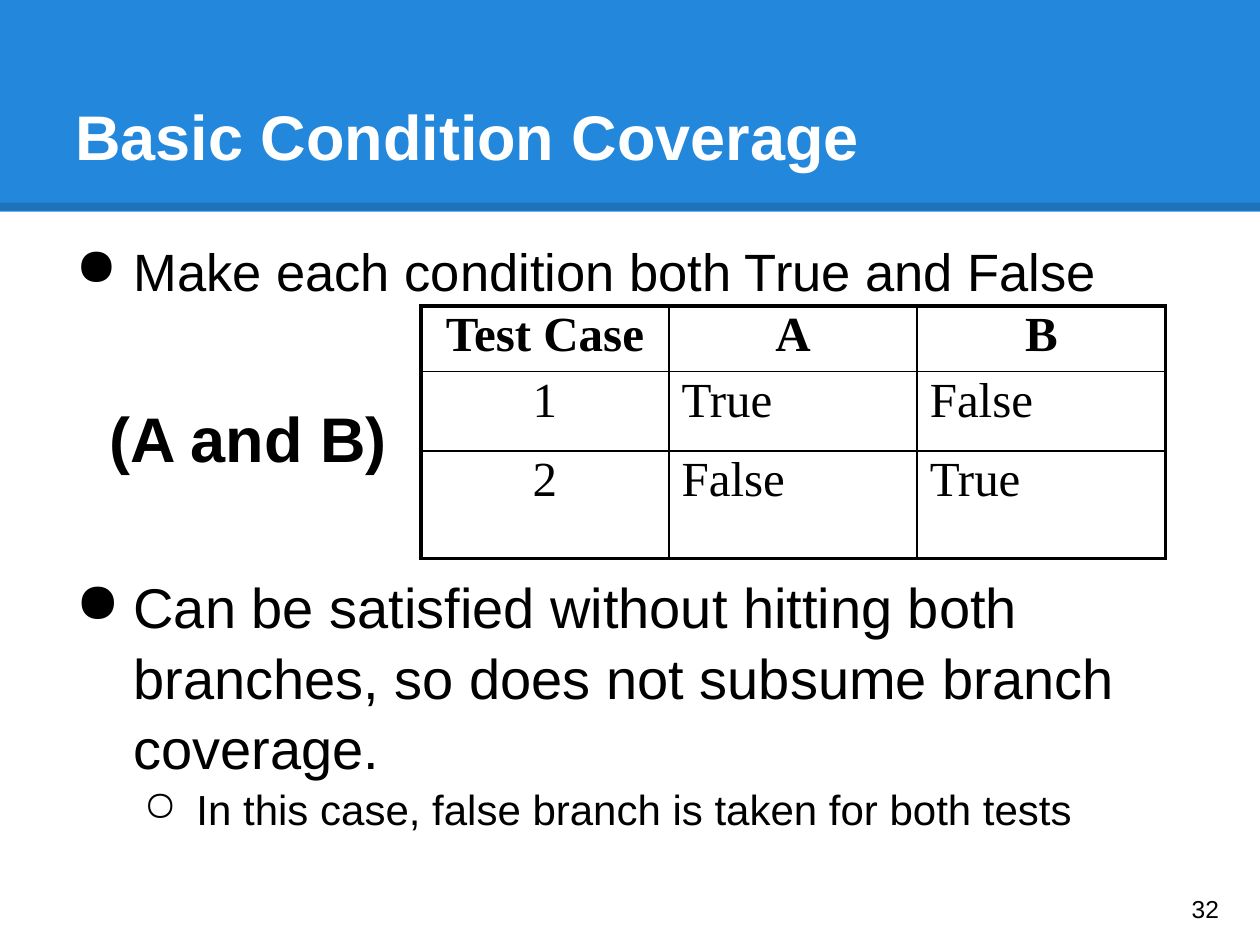
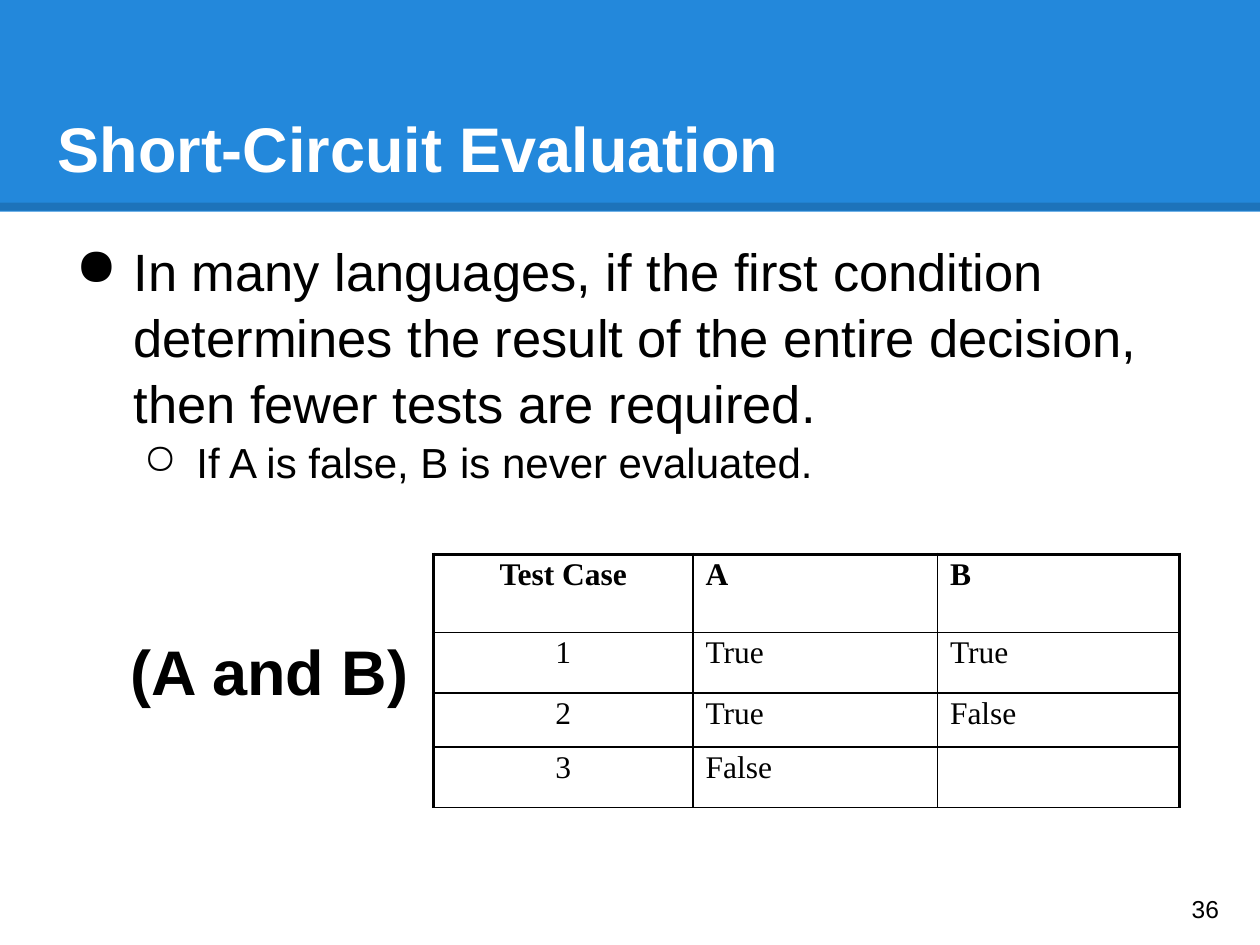
from dataclasses import dataclass

from lxml.etree import SubElement
from pptx import Presentation
from pptx.dml.color import RGBColor
from pptx.enum.shapes import MSO_CONNECTOR as Connector, MSO_SHAPE as Preset
from pptx.enum.text import MSO_ANCHOR as Anchor, PP_ALIGN as Align
from pptx.oxml import parse_xml
from pptx.oxml.ns import nsdecls, qn
from pptx.util import Inches, Pt

SLIDES = [
    {
        "title": "Basic Condition Coverage", "title_at": (0.5, 0.41),
        # level, text, size, space before
        "bullets": [
            (0, "Make each condition both True and False", 30, 0),
            (0, "Can be satisfied without hitting both branches, so does not "
                "subsume branch coverage.", 32, 153),
            (1, "In this case, false branch is taken for both tests", 24, 0),
        ],
        "label": "(A and B)", "label_at": (0.77, 3.03),
        "table": {
            "at": (3.34, 2.43), "columns": [1.97] * 3, "rows": [0.5, 0.63, 0.85],
            "size": 28, "centred_header": True, "bottom": 2.25,
            "cells": [("Test Case", "A", "B"),
                      ("1", "True", "False"),
                      ("2", "False", "True")],
        },
        "number": "32",
    },
    {
        "title": "Short-Circuit Evaluation", "title_at": (0.36, 0.5),
        "bullets": [
            (0, "In many languages, if the first condition determines the result "
                "of the entire decision, then fewer tests are required.", 30, 0),
            (1, "If A is false, B is never evaluated.", 24, 0),
        ],
        "label": "(A and B)", "label_at": (0.94, 4.88),
        "table": {
            "at": (3.44, 4.4), "columns": [2.06, 1.94, 1.92],
            "rows": [0.62, 0.48, 0.43, 0.48],
            "size": 18, "centred_header": False, "bottom": 1,
            "cells": [("Test Case", "A", "B"),
                      ("1", "True", "True"),
                      ("2", "True", "False"),
                      ("3", "False", "")],
        },
        "number": "36",
    },
]


@dataclass(frozen=True)
class Theme:
    blue: str = "2388DB"
    black: str = "000000"
    white: str = "FFFFFF"
    sans: str = "Arial"
    serif: str = "Times New Roman"
    heading: int = 36
    number: int = 14
    body_spacing: float = 1.05
    cell_spacing: float = 0.9
    frame: float = 2.25
    grid: float = 1


THEME = Theme()
WIDTH, HEIGHT = 10, 7.5
BAND_HEIGHT, RULE_Y = 1.68, 1.64
# glyph, left margin, first-line indent
BULLETS = [("●", 0.5, -0.46), ("○", 1, -0.42)]


def add_run(paragraph, text, size, font=THEME.sans, color=THEME.black, bold=False):
    run = paragraph.add_run()
    run.text = text
    run.font.name, run.font.size, run.font.bold = font, Pt(size), bold
    run.font.color.rgb = RGBColor.from_string(color)


def add_box(slide, at, size, margins, anchor=Anchor.TOP):
    """Add a wrapping text box; margins run left, top, right, bottom."""
    frame = slide.shapes.add_textbox(*map(Inches, at + size)).text_frame
    frame.word_wrap = True
    frame.vertical_anchor = anchor
    (frame.margin_left, frame.margin_top,
     frame.margin_right, frame.margin_bottom) = map(Inches, margins)
    return frame


def add_band(slide):
    band = slide.shapes.add_shape(Preset.RECTANGLE, 0, 0, Inches(WIDTH), Inches(BAND_HEIGHT))
    band.shadow.inherit = False
    band.fill.solid()
    band.fill.fore_color.rgb = RGBColor.from_string(THEME.blue)
    band.line.fill.background()

    rule = slide.shapes.add_connector(
        Connector.STRAIGHT, 0, Inches(RULE_Y), Inches(WIDTH), Inches(RULE_Y))
    rule.line.width = Pt(4.5)
    rule.line.color.rgb = RGBColor.from_string(THEME.black)
    properties = rule._element.spPr
    color = properties.find(".//" + qn("a:srgbClr"))
    SubElement(color, qn("a:alpha"), val="15000")
    SubElement(properties, qn("a:effectLst"))


def set_bullet(paragraph, level):
    glyph, margin, indent = BULLETS[level]
    properties = paragraph._p.get_or_add_pPr()
    properties.set("marL", str(Inches(margin)))
    properties.set("indent", str(Inches(indent)))
    color = SubElement(properties, qn("a:buClr"))
    SubElement(color, qn("a:srgbClr"), val=THEME.black)
    SubElement(properties, qn("a:buChar"), char=glyph)


def add_bullets(slide, bullets):
    frame = add_box(slide, (0.5, 1.75), (9, 5.43), (0.06, 0.12, 0.1, 0.05))
    for index, (level, text, size, space) in enumerate(bullets):
        paragraph = frame.add_paragraph() if index else frame.paragraphs[0]
        paragraph.level = level
        set_bullet(paragraph, level)
        paragraph.line_spacing = THEME.body_spacing
        paragraph.space_before = Pt(space)
        add_run(paragraph, text, size)


def set_borders(cell, widths):
    """Draw the cell's left, right, top and bottom edges, in points."""
    properties = cell._tc.get_or_add_tcPr()
    for index, (side, width) in enumerate(zip("LRTB", widths)):
        properties.insert(index, parse_xml(
            f'<a:ln{side} {nsdecls("a")} w="{Pt(width)}"><a:solidFill>'
            f'<a:srgbClr val="{THEME.black}"/></a:solidFill></a:ln{side}>'))


def add_truth_table(slide, data):
    columns, rows = data["columns"], data["rows"]
    size = (sum(columns), sum(rows))
    table = slide.shapes.add_table(
        len(rows), len(columns), *map(Inches, data["at"] + size)).table
    table.first_row = table.horz_banding = False
    for column, width in zip(table.columns, columns):
        column.width = Inches(width)
    for row, height in zip(table.rows, rows):
        row.height = Inches(height)

    for y, texts in enumerate(data["cells"]):
        for x, text in enumerate(texts):
            cell = table.cell(y, x)
            cell.fill.background()
            set_borders(cell, (
                THEME.grid if x else THEME.frame,
                THEME.frame if x == len(columns) - 1 else THEME.grid,
                THEME.grid if y else THEME.frame,
                data["bottom"] if y == len(rows) - 1 else THEME.grid))
            paragraph = cell.text_frame.paragraphs[0]
            paragraph.line_spacing = THEME.cell_spacing
            centred = x == 0 or (y == 0 and data["centred_header"])
            paragraph.alignment = Align.CENTER if centred else Align.LEFT
            if text:
                add_run(paragraph, text, data["size"], THEME.serif, bold=y == 0)


def build_slide(presentation, content):
    slide = presentation.slides.add_slide(presentation.slide_layouts[6])
    add_band(slide)
    title = add_box(slide, content["title_at"], (9, 1.25),
                    (0.1, 0.13, 0.05, 0.05), Anchor.MIDDLE)
    add_run(title.paragraphs[0], content["title"], THEME.heading,
            color=THEME.white, bold=True)
    add_bullets(slide, content["bullets"])
    add_truth_table(slide, content["table"])
    label = add_box(slide, content["label_at"], (2.57, 0.84), (0.1, 0.14, 0.1, 0.1))
    add_run(label.paragraphs[0], content["label"], THEME.heading, bold=True)
    number = add_box(slide, (9.36, 6.93), (0.6, 0.57), (0.1,) * 4, Anchor.MIDDLE)
    add_run(number.paragraphs[0], content["number"], THEME.number)


def main():
    presentation = Presentation()
    presentation.slide_width, presentation.slide_height = Inches(WIDTH), Inches(HEIGHT)
    for content in SLIDES:
        build_slide(presentation, content)
    presentation.save("out.pptx")


if __name__ == "__main__":
    main()
